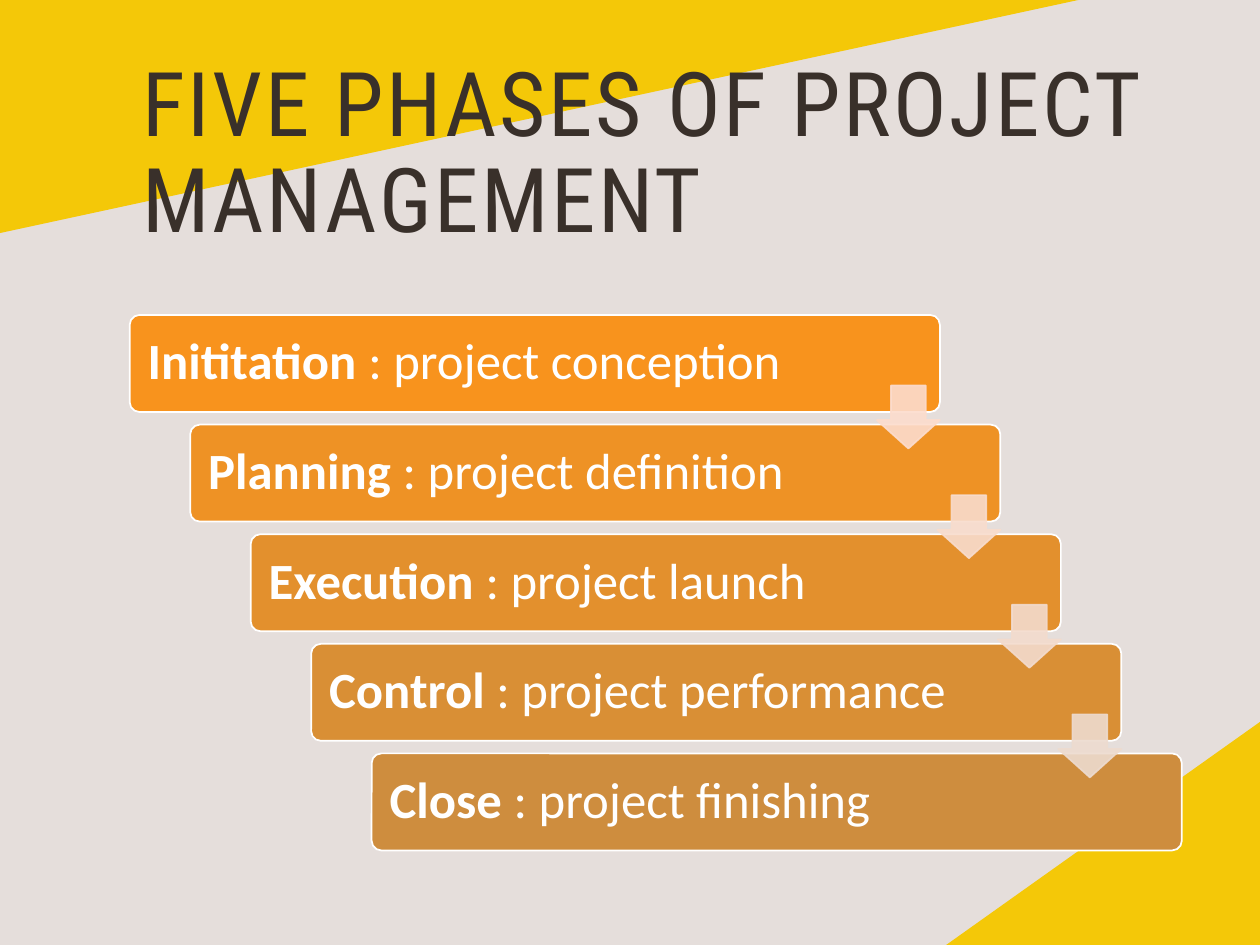
from lxml import etree
from pptx import Presentation
from pptx import util as u
from pptx.dml.color import RGBColor
from pptx.enum import shapes, text
from pptx.oxml.ns import qn

WIDTH, HEIGHT = 10, 7.5
BACKGROUND, ACCENT, DARK, WHITE = "E5DEDB", "F4C808", "39302A", "FFFFFF"
TITLE = "FIVE PHASES OF PROJECT MANAGEMENT"
TITLE_BOX = (1.03, 0.42, 8.35, 1.63)
CORNERS = [
    ((0, 0, 8.56, 1.85), "flipV"),
    ((7.51, 5.73, 2.49, 1.77), "flipH"),
]
PHASES = [
    ("Inititation ", ": project conception", "F8931D"),
    ("Planning", " : project definition", "EE9225"),
    ("Execution ", ": project launch", "E3902D"),
    ("Control", " : project performance", "D98F35"),
    ("Close", " : project finishing", "CE8D3E"),
]
ARROW_COLOURS = ["FCDCCD", "F8DCCD", "F3DBCD", "EDDBCF"]
LEFT, TOP, STEP_X, STEP_Y = 1.03, 2.5, 0.48, 0.87
BAR_WIDTH, BAR_HEIGHT, ARROW, ARROW_DROP = 6.43, 0.77, 0.5, 0.56
INSET = 0.12


def colour(value):
    return RGBColor.from_string(value)


def add_shape(slide, kind, box, fill, line=None, adjustments=()):
    shape = slide.shapes.add_shape(kind, *map(u.Inches, box))
    shape.shadow.inherit = False
    shape.fill.solid()
    shape.fill.fore_color.rgb = colour(fill)
    if line:
        shape.line.color.rgb = colour(line)
        shape.line.width = u.Pt(1)
    else:
        shape.line.fill.background()
    for index, value in enumerate(adjustments):
        shape.adjustments[index] = value
    return shape


def prepare_text(shape):
    frame = shape.text_frame
    frame.word_wrap = True
    frame.vertical_anchor = text.MSO_ANCHOR.MIDDLE
    paragraph = frame.paragraphs[0]
    paragraph.alignment = text.PP_ALIGN.LEFT
    paragraph.line_spacing = 0.9
    return paragraph


def add_run(paragraph, content, size, font, fill, bold=False):
    run = paragraph.add_run()
    run.text = content
    run.font.size = u.Pt(size)
    run.font.name = font
    run.font.bold = bold
    run.font.color.rgb = colour(fill)
    return run


def add_title(slide):
    box = slide.shapes.add_textbox(*map(u.Inches, TITLE_BOX))
    run = add_run(prepare_text(box), TITLE, 51, "Roboto Condensed", DARK)
    run.font._element.set("spc", "150")


def add_phase(slide, index, name, detail, fill):
    box = (LEFT + index * STEP_X, TOP + index * STEP_Y, BAR_WIDTH, BAR_HEIGHT)
    bar = add_shape(slide, shapes.MSO_SHAPE.ROUNDED_RECTANGLE, box, fill, WHITE, [0.1])
    frame = bar.text_frame
    frame.margin_left = frame.margin_right = u.Inches(INSET)
    frame.margin_top = frame.margin_bottom = u.Inches(INSET)
    paragraph = prepare_text(bar)
    add_run(paragraph, name, 29, "Calibri", WHITE, True)
    add_run(paragraph, detail, 29, "Calibri", WHITE)


def add_arrow(slide, index, fill):
    box = (LEFT + index * STEP_X + BAR_WIDTH - ARROW,
           TOP + index * STEP_Y + ARROW_DROP, ARROW, ARROW)
    arrow = add_shape(slide, shapes.MSO_SHAPE.DOWN_ARROW, box, fill, fill, [0.55, 0.45])
    for element in arrow._element.spPr.iter(qn("a:srgbClr")):
        etree.SubElement(element, qn("a:alpha"), val="90000")


def main():
    """Build the slide of five stepped project phases."""
    presentation = Presentation()
    presentation.slide_width = u.Inches(WIDTH)
    presentation.slide_height = u.Inches(HEIGHT)
    slide = presentation.slides.add_slide(presentation.slide_layouts[6])
    slide.background.fill.solid()
    slide.background.fill.fore_color.rgb = colour(BACKGROUND)
    for box, flip in CORNERS:
        corner = add_shape(slide, shapes.MSO_SHAPE.RIGHT_TRIANGLE, box, ACCENT)
        corner._element.spPr.find(qn("a:xfrm")).set(flip, "1")
    add_title(slide)
    for index, phase in enumerate(PHASES):
        add_phase(slide, index, *phase)
    for index, fill in enumerate(ARROW_COLOURS):
        add_arrow(slide, index, fill)
    presentation.save("out.pptx")


if __name__ == "__main__":
    main()
